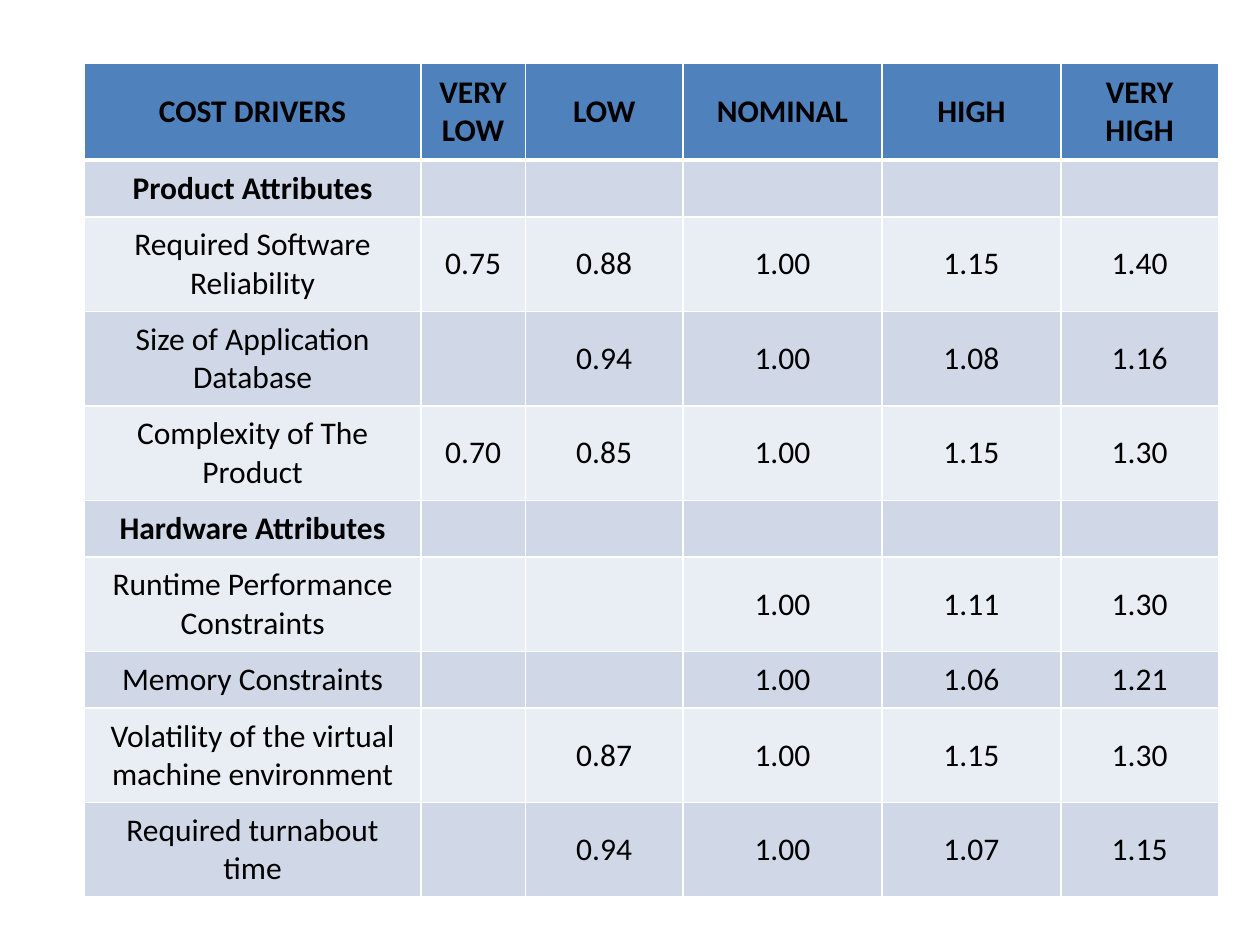
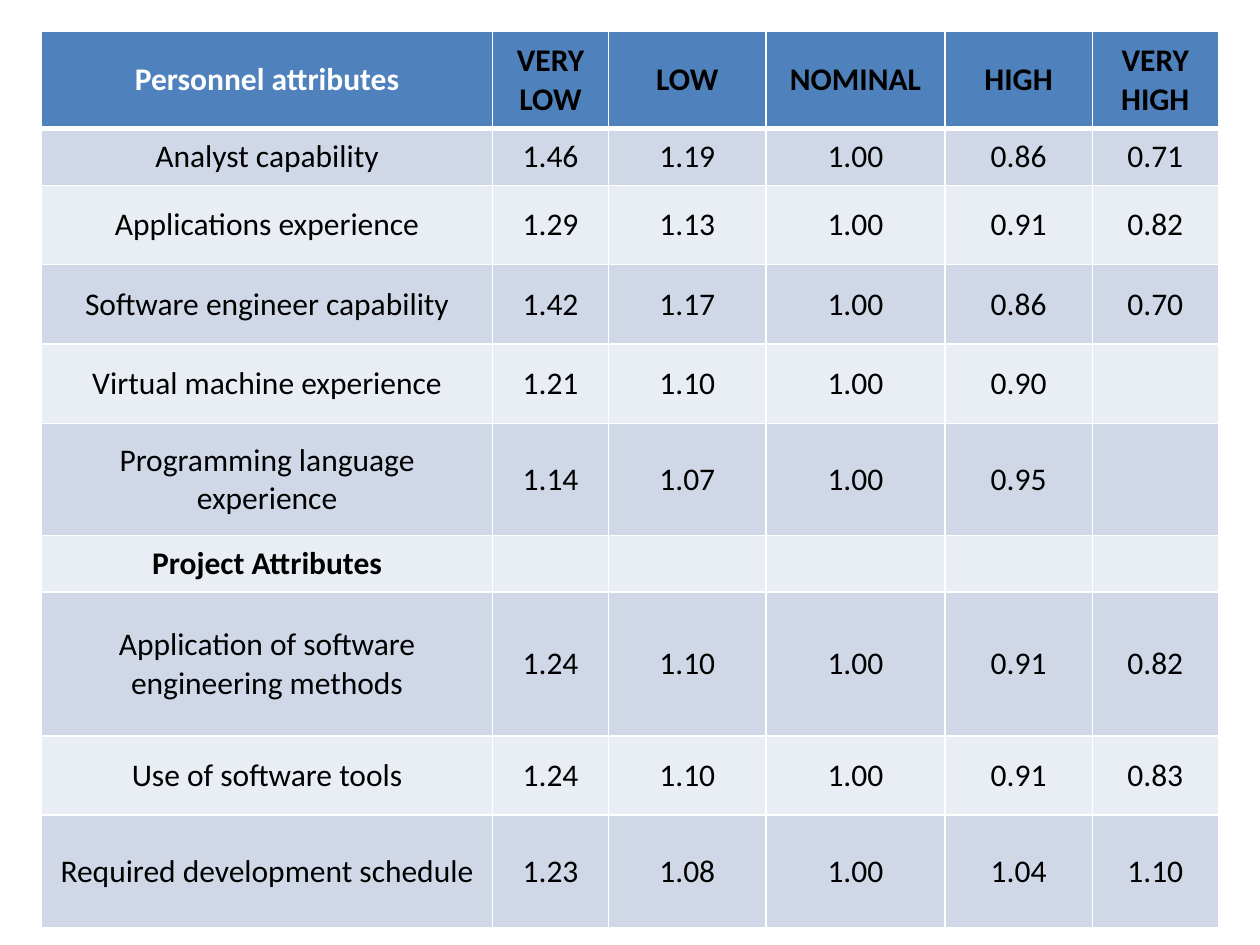
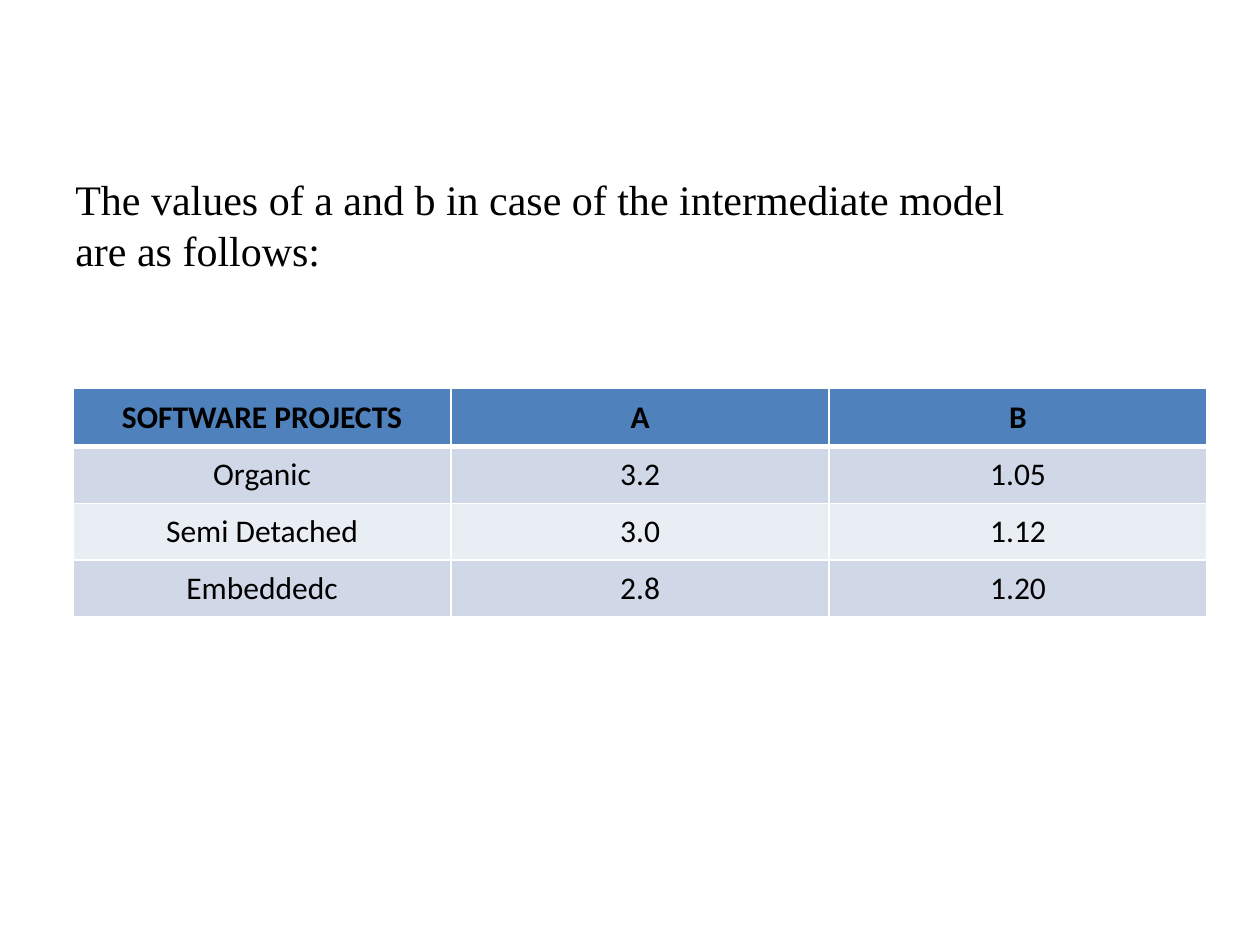
import pptx
import pptx.util
import pptx.dml.color
import pptx.enum.text
import pptx.oxml.ns
import lxml.etree

Inches = pptx.util.Inches
HEADER_FILL = "4F81BD"
BAND_FILLS = ("D0D8E8", "E9EDF4")
BLACK = "000000"
WHITE = "FFFFFF"

SINGLE_LINE = 0.45
TWO_LINES = 0.75
HEADER_HEIGHT = 0.77
RATINGS = ["VERY LOW", "LOW", "NOMINAL", "HIGH", "VERY HIGH"]
SECTION_NAMES = ("Product Attributes", "Hardware Attributes", "Project Attributes")


def color(hex_string):
    """Turn a hex string into a colour."""
    return pptx.dml.color.RGBColor.from_string(hex_string)


def write_text(text_frame, text, size=18, font="Calibri", bold=False,
               fill=BLACK, alignment=pptx.enum.text.PP_ALIGN.CENTER):
    """Write one formatted paragraph into a text frame."""
    paragraph = text_frame.paragraphs[0]
    paragraph.alignment = alignment
    run = paragraph.add_run()
    run.text = text
    run.font.size = pptx.util.Pt(size)
    run.font.name = font
    run.font.bold = bold
    run.font.color.rgb = color(fill)


def add_grid(slide, left, top, column_widths, row_heights, rows):
    """Add a banded table whose first row is the header."""
    table = slide.shapes.add_table(
        len(rows), len(column_widths), Inches(left), Inches(top),
        Inches(sum(column_widths)), Inches(sum(row_heights))).table
    for column, width in zip(table.columns, column_widths):
        column.width = Inches(width)
    for row_index, (values, height) in enumerate(zip(rows, row_heights)):
        table.rows[row_index].height = Inches(height)
        is_header = row_index == 0
        for column_index, value in enumerate(values):
            cell = table.cell(row_index, column_index)
            is_section_header = value == "Personnel attributes"
            narrow_margins = is_header and not is_section_header
            cell.margin_left = cell.margin_right = Inches(0.08 if narrow_margins else 0.15)
            cell.margin_top = cell.margin_bottom = Inches(0.08 if narrow_margins else 0.07)
            cell.vertical_anchor = pptx.enum.text.MSO_ANCHOR.MIDDLE
            properties = cell._tc.get_or_add_tcPr()
            for side in "LRTB":
                thick = (side, row_index) in (("B", 0), ("T", 1))
                border = lxml.etree.SubElement(
                    properties, pptx.oxml.ns.qn("a:ln" + side),
                    w=str(pptx.util.Pt(3 if thick else 1)))
                border_fill = lxml.etree.SubElement(border, pptx.oxml.ns.qn("a:solidFill"))
                lxml.etree.SubElement(border_fill, pptx.oxml.ns.qn("a:srgbClr"), val=WHITE)
            cell.fill.solid()
            cell.fill.fore_color.rgb = color(
                HEADER_FILL if is_header else BAND_FILLS[(row_index - 1) % 2])
            if value:
                write_text(cell.text_frame, value,
                           bold=is_header or value in SECTION_NAMES,
                           fill=WHITE if is_section_header else BLACK)


presentation = pptx.Presentation()
presentation.slide_width = Inches(10)
presentation.slide_height = Inches(7.5)
blank_layout = presentation.slide_layouts[6]

# Slide 1: product and hardware cost drivers
slide = presentation.slides.add_slide(blank_layout)
product_rows = [
    ["COST DRIVERS"] + RATINGS,
    ["Product Attributes", "", "", "", "", ""],
    ["Required Software Reliability", "0.75", "0.88", "1.00", "1.15", "1.40"],
    ["Size of Application Database", "", "0.94", "1.00", "1.08", "1.16"],
    ["Complexity of The Product", "0.70", "0.85", "1.00", "1.15", "1.30"],
    ["Hardware Attributes", "", "", "", "", ""],
    ["Runtime Performance Constraints", "", "", "1.00", "1.11", "1.30"],
    ["Memory Constraints", "", "", "1.00", "1.06", "1.21"],
    ["Volatility of the virtual machine environment", "", "0.87", "1.00", "1.15", "1.30"],
    ["Required turnabout time", "", "0.94", "1.00", "1.07", "1.15"],
]
product_heights = [HEADER_HEIGHT] + [
    SINGLE_LINE if len(row[0]) < 20 else TWO_LINES for row in product_rows[1:]]
add_grid(slide, 0.67, 0.5, [2.67, 0.83, 1.25, 1.58, 1.42, 1.25],
         product_heights, product_rows)

# Slide 2: personnel and project cost drivers
slide = presentation.slides.add_slide(blank_layout)
personnel_rows = [
    ["Personnel attributes"] + RATINGS,
    ["Analyst capability", "1.46", "1.19", "1.00", "0.86", "0.71"],
    ["Applications experience", "1.29", "1.13", "1.00", "0.91", "0.82"],
    ["Software engineer capability", "1.42", "1.17", "1.00", "0.86", "0.70"],
    ["Virtual machine experience", "1.21", "1.10", "1.00", "0.90", ""],
    ["Programming language experience", "1.14", "1.07", "1.00", "0.95", ""],
    ["Project Attributes", "", "", "", "", ""],
    ["Application of software engineering methods", "1.24", "1.10", "1.00", "0.91", "0.82"],
    ["Use of software tools", "1.24", "1.10", "1.00", "0.91", "0.83"],
    ["Required development schedule", "1.23", "1.08", "1.00", "1.04", "1.10"],
]
personnel_heights = [HEADER_HEIGHT, SINGLE_LINE, 0.63, 0.63, 0.63, 0.89,
                     SINGLE_LINE, 1.14, 0.63, 0.89]
add_grid(slide, 0.33, 0.25, [3.58, 0.92, 1.25, 1.42, 1.17, 1],
         personnel_heights, personnel_rows)

# Slide 3: coefficients of the intermediate model
slide = presentation.slides.add_slide(blank_layout)
coefficient_rows = [
    ["SOFTWARE PROJECTS", "A", "B"],
    ["Organic", "3.2", "1.05"],
    ["Semi Detached", "3.0", "1.12"],
    ["Embeddedc", "2.8", "1.20"],
]
add_grid(slide, 0.58, 3.08, [3] * 3, [SINGLE_LINE] * 4, coefficient_rows)
introduction = slide.shapes.add_textbox(
    Inches(0.5), Inches(1.33), Inches(7.67), Inches(0.91))
introduction.text_frame.word_wrap = True
write_text(introduction.text_frame,
           "The values of a and b in case of the intermediate model are as follows:",
           size=24, font="Times New Roman", alignment=pptx.enum.text.PP_ALIGN.LEFT)

presentation.save("out.pptx")
